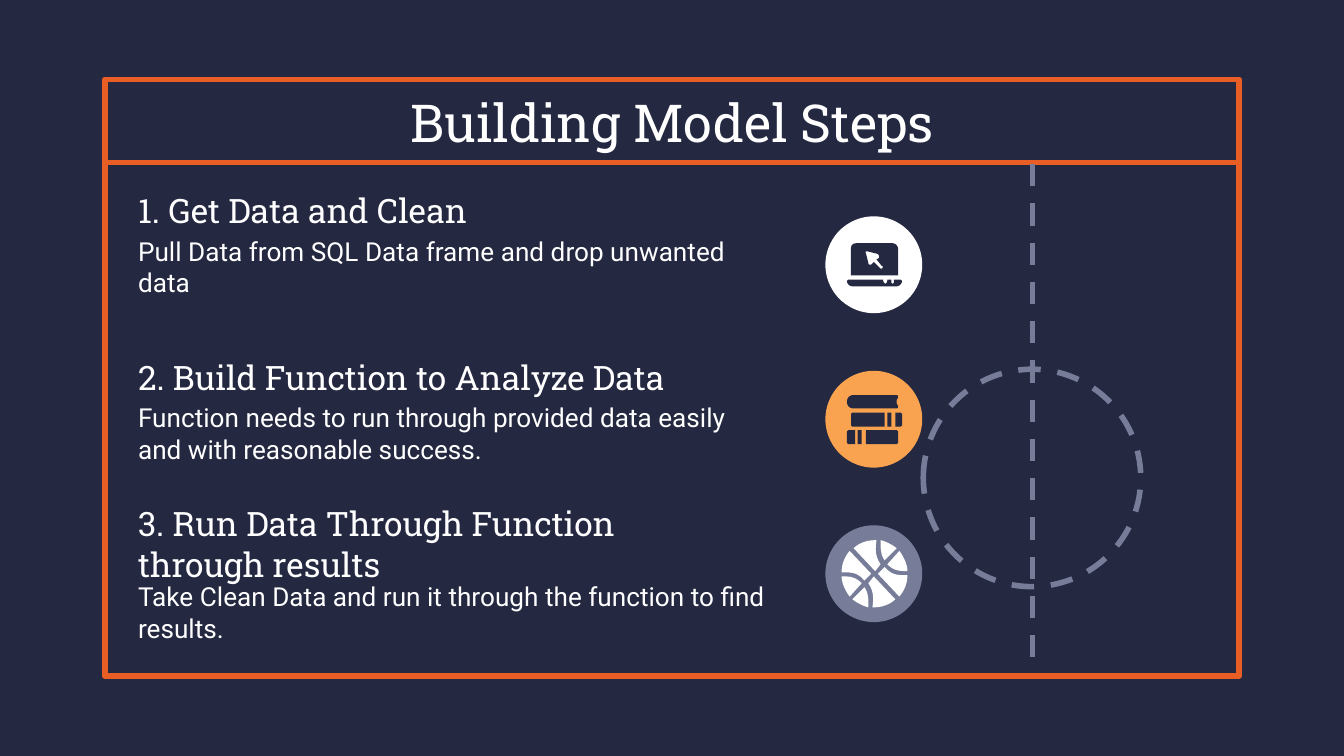
import pptx
import pptx.dml.color
import pptx.enum.dml
import pptx.enum.shapes
import pptx.enum.text
import pptx.oxml
import pptx.util

Cm = pptx.util.Cm
Pt = pptx.util.Pt
RGBColor = pptx.dml.color.RGBColor
SHAPE = pptx.enum.shapes.MSO_SHAPE
ANCHOR = pptx.enum.text.MSO_ANCHOR
ALIGN = pptx.enum.text.PP_ALIGN
DASH = pptx.enum.dml.MSO_LINE.DASH

NAVY = RGBColor(0x24, 0x28, 0x41)
WHITE = RGBColor(0xFF, 0xFF, 0xFF)
RED_ORANGE = RGBColor(0xE9, 0x5E, 0x24)
AMBER = RGBColor(0xF9, 0xA3, 0x50)
SLATE = RGBColor(0x77, 0x7D, 0x99)

TITLE = "Building Model Steps"
# heading, heading width, text, text top, text height (cm)
STEPS = [
    ("1. Get Data and Clean", 9.3,
     "Pull Data from SQL Data frame and drop unwanted data", 4.32, 2.44),
    ("2. Build Function to Analyze Data", 12.01,
     "Function needs to run through provided data easily and with reasonable success.", 7.47, 2.08),
    ("3. Run Data Through Function through results", 12.01,
     "Take Clean Data and run it through the function to find results.", 10.85, 1.83),
]
HEADING_TOP, HEADING_GAP = 3.38, 3.15
TEXT_LEFT = 2.36
BADGE_LEFT, BADGE_TOP, BADGE_GAP, BADGE_SIZE = 15.6, 4.09, 2.92, 1.83
GRID = 72  # icon units across a badge
CURVE_STEPS = 6


def spine(left, top, right, bottom, left_cut=0, right_cut=0):
    """Outline of a book part, with corners cut on one or both sides."""
    return [(left + left_cut, top), (right - right_cut, top),
            (right, top + right_cut), (right, bottom - right_cut),
            (right - right_cut, bottom), (left + left_cut, bottom),
            (left, bottom - left_cut), (left, top + left_cut)]


def half_turn(contour):
    """Turn a contour by 180 degrees about the centre of the ball."""
    return [tuple((73, 72)[i % 2] - value for i, value in enumerate(step)) for step in contour]


# A contour is a list of steps: two numbers are a point, six a Bezier curve.
LAPTOP_BASE = [
    (17, 47), (17, 47, 16, 48, 16, 48), (16, 50, 18, 52, 20, 52), (53, 52),
    (55, 52, 57, 50, 57, 48), (56, 47, 56, 47, 55, 47), (51, 47), (51, 48),
    (51, 49, 51, 50, 50, 50), (49, 50, 49, 49, 49, 48), (49, 47), (46, 47),
    (46, 48), (46, 49, 45, 50, 45, 50), (44, 50, 43, 49, 43, 48), (43, 47)]
LAPTOP_SCREEN = [
    (23, 20), (20, 20, 19, 22, 19, 24), (19, 44), (54, 44), (54, 24),
    (54, 22, 52, 20, 50, 20)]
CURSOR = [
    (31, 26), (39, 28), (40, 29, 40, 30, 40, 31), (38, 32), (42, 37),
    (43, 37, 43, 38, 42, 39), (42, 39, 42, 39, 41, 39), (36, 34), (34, 36),
    (34, 36, 34, 36, 33, 36), (33, 36, 32, 36, 32, 35), (30, 27),
    (29, 27, 30, 26, 31, 26)]
TOP_BOOK = [
    (21, 18), (18, 18, 16, 20, 16, 23), (16, 26, 18, 28, 21, 28), (53, 28),
    (54, 28, 54, 27, 54, 26), (53, 25, 53, 24, 53, 23),
    (53, 22, 53, 21, 54, 20), (54, 19, 54, 18, 53, 18)]
BALL_HALF = [
    [(15, 38), (14, 38, 13, 38, 12, 38), (12, 43, 15, 49, 18, 53), (27, 43),
     (23, 39, 19, 38, 15, 38)],
    [(18, 19), (14, 24, 12, 29, 12, 35), (13, 35, 14, 35, 15, 35),
     (19, 35, 24, 35, 29, 41), (34, 36)],
    [(29, 46), (20, 55), (24, 58, 28, 60, 32, 61), (32, 55, 32, 50, 29, 46)],
    [(36, 38), (32, 43), (36, 49, 36, 54, 35, 61), (36, 61),
     (42, 61, 48, 59, 52, 55)],
]
BOOK_PARTS = [
    spine(46, 31, 49, 41.5), spine(52, 31, 57, 41.5, right_cut=1),
    spine(19, 31, 44, 41.5, left_cut=1), spine(24, 44, 27, 54.5),
    spine(30, 44, 54, 54.5, right_cut=1), spine(16, 44, 22, 54.5, left_cut=1)]

# badge colour, icon colour, icon parts (each a list of contours)
BADGES = [
    (WHITE, NAVY, [[LAPTOP_BASE], [LAPTOP_SCREEN, CURSOR]]),
    (AMBER, NAVY, [[contour] for contour in [TOP_BOOK] + BOOK_PARTS]),
    (SLATE, WHITE, [[contour] for half in BALL_HALF for contour in (half, half_turn(half))]),
]

presentation = pptx.Presentation()
presentation.slide_width, presentation.slide_height = Cm(25.4), Cm(14.29)
slide = presentation.slides.add_slide(presentation.slide_layouts[6])
slide.background.fill.solid()
slide.background.fill.fore_color.rgb = NAVY


def style_line(line, color, dash=None):
    line.color.rgb = color
    line.width = Pt(3)
    if dash:
        line.dash_style = dash


def add_outline(kind, left, top, width, height, color, dash=None):
    shape = slide.shapes.add_shape(kind, Cm(left), Cm(top), Cm(width), Cm(height))
    shape.shadow.inherit = False
    shape.fill.background()
    style_line(shape.line, color, dash)


def add_line(x1, y1, x2, y2, color, dash=None):
    connector = slide.shapes.add_connector(
        pptx.enum.shapes.MSO_CONNECTOR.STRAIGHT, Cm(x1), Cm(y1), Cm(x2), Cm(y2))
    style_line(connector.line, color, dash)
    properties = connector.element.spPr
    properties.append(pptx.oxml.parse_xml(
        '<a:effectLst xmlns:a="http://schemas.openxmlformats.org/drawingml/2006/main"/>'))


def add_text(text, left, top, width, height, size, font, anchor=ANCHOR.TOP,
             alignment=ALIGN.LEFT, space_after=0):
    frame = slide.shapes.add_textbox(Cm(left), Cm(top), Cm(width), Cm(height)).text_frame
    frame.word_wrap = True
    frame.vertical_anchor = anchor
    paragraph = frame.paragraphs[0]
    paragraph.text = text
    paragraph.alignment = alignment
    paragraph.space_after = Pt(space_after)
    paragraph.font.size = Pt(size)
    paragraph.font.name = font
    paragraph.font.color.rgb = WHITE


def fill_plain(shape, color):
    shape.shadow.inherit = False
    shape.fill.solid()
    shape.fill.fore_color.rgb = color
    shape.line.fill.background()


def flatten(contour):
    """Turn the points and curves of a contour into points only."""
    points = [contour[0]]
    for step in contour[1:]:
        if len(step) == 2:
            points.append(step)
            continue
        start, first, second, end = points[-1], step[:2], step[2:4], step[4:]
        for i in range(1, CURVE_STEPS + 1):
            t = i / CURVE_STEPS
            u = 1 - t
            points.append(tuple(
                u ** 3 * a + 3 * u * u * t * b + 3 * u * t * t * c + t ** 3 * d
                for a, b, c, d in zip(start, first, second, end)))
    return points


def add_icon_part(contours, left, top, color):
    unit = Cm(BADGE_SIZE) / GRID
    builder = None
    for contour in contours:
        points = [(Cm(left) + x * unit, Cm(top) + y * unit) for x, y in flatten(contour)]
        if builder is None:
            builder = slide.shapes.build_freeform(*points[0])
        else:
            builder.move_to(*points[0])
        builder.add_line_segments(points[1:], close=True)
    fill_plain(builder.convert_to_shape(), color)


add_outline(SHAPE.RECTANGLE, 1.98, 1.5, 21.44, 11.28, RED_ORANGE)
add_line(2.03, 3.07, 23.37, 3.07, RED_ORANGE)
add_text(TITLE, 1.98, 1.5, 21.44, 1.6, 28, "Roboto Slab", ANCHOR.MIDDLE, ALIGN.CENTER)

for index, (heading, heading_width, text, text_top, text_height) in enumerate(STEPS):
    add_text(text, TEXT_LEFT, text_top, 12.5, text_height, 14, "Roboto")
    add_text(heading, TEXT_LEFT, HEADING_TOP + index * HEADING_GAP, heading_width, 1.19,
             18, "Roboto Slab", ANCHOR.MIDDLE, space_after=12)

add_line(19.51, 3.1, 19.51, 12.73, SLATE, DASH.DASH)
add_outline(SHAPE.OVAL, 17.45, 6.98, 4.11, 4.11, SLATE, DASH.DASH)

for index, (badge_color, icon_color, parts) in enumerate(BADGES):
    top = BADGE_TOP + index * BADGE_GAP
    badge = slide.shapes.add_shape(
        SHAPE.OVAL, Cm(BADGE_LEFT), Cm(top), Cm(BADGE_SIZE), Cm(BADGE_SIZE))
    fill_plain(badge, badge_color)
    for contours in parts:
        add_icon_part(contours, BADGE_LEFT, top, icon_color)

presentation.save("out.pptx")
